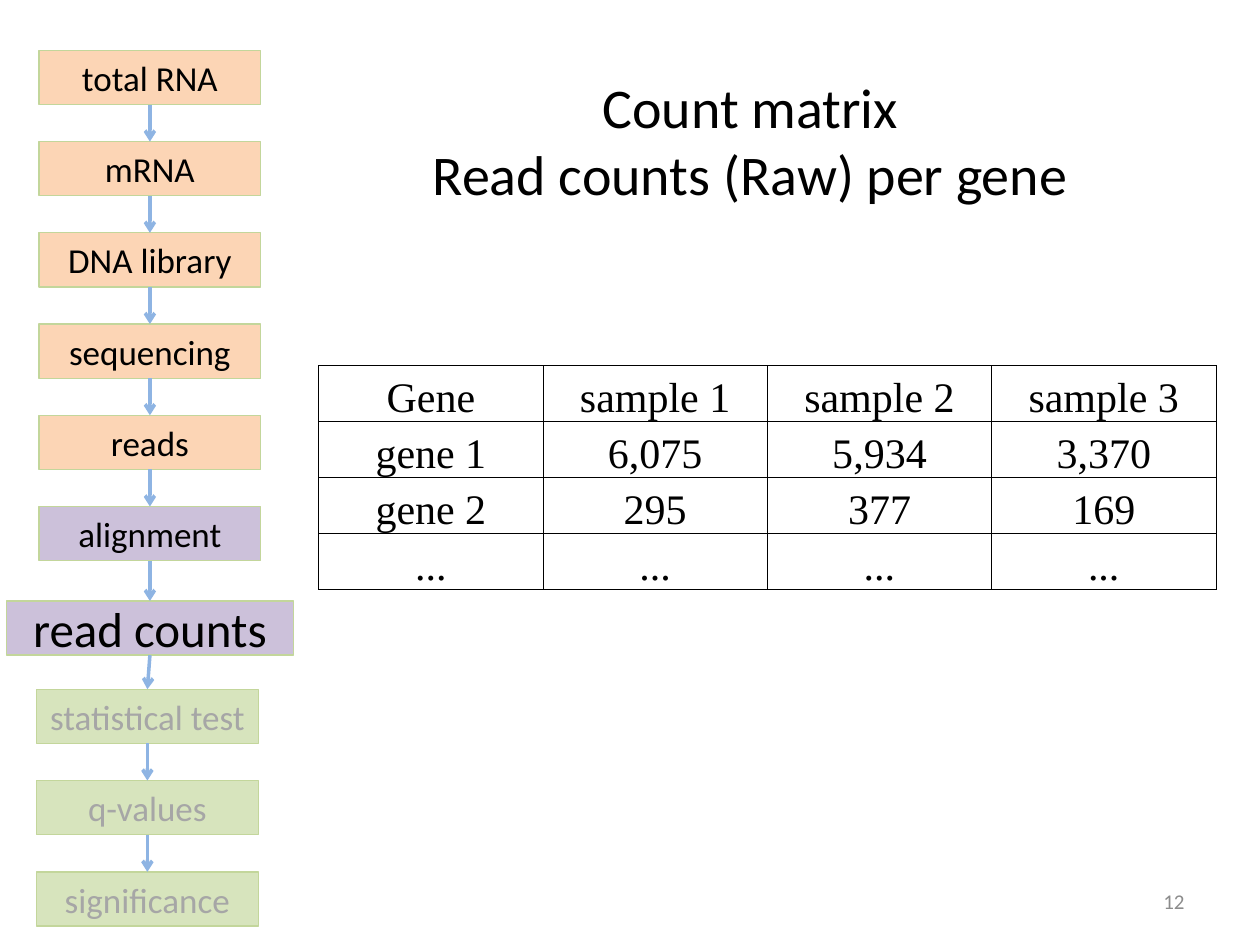
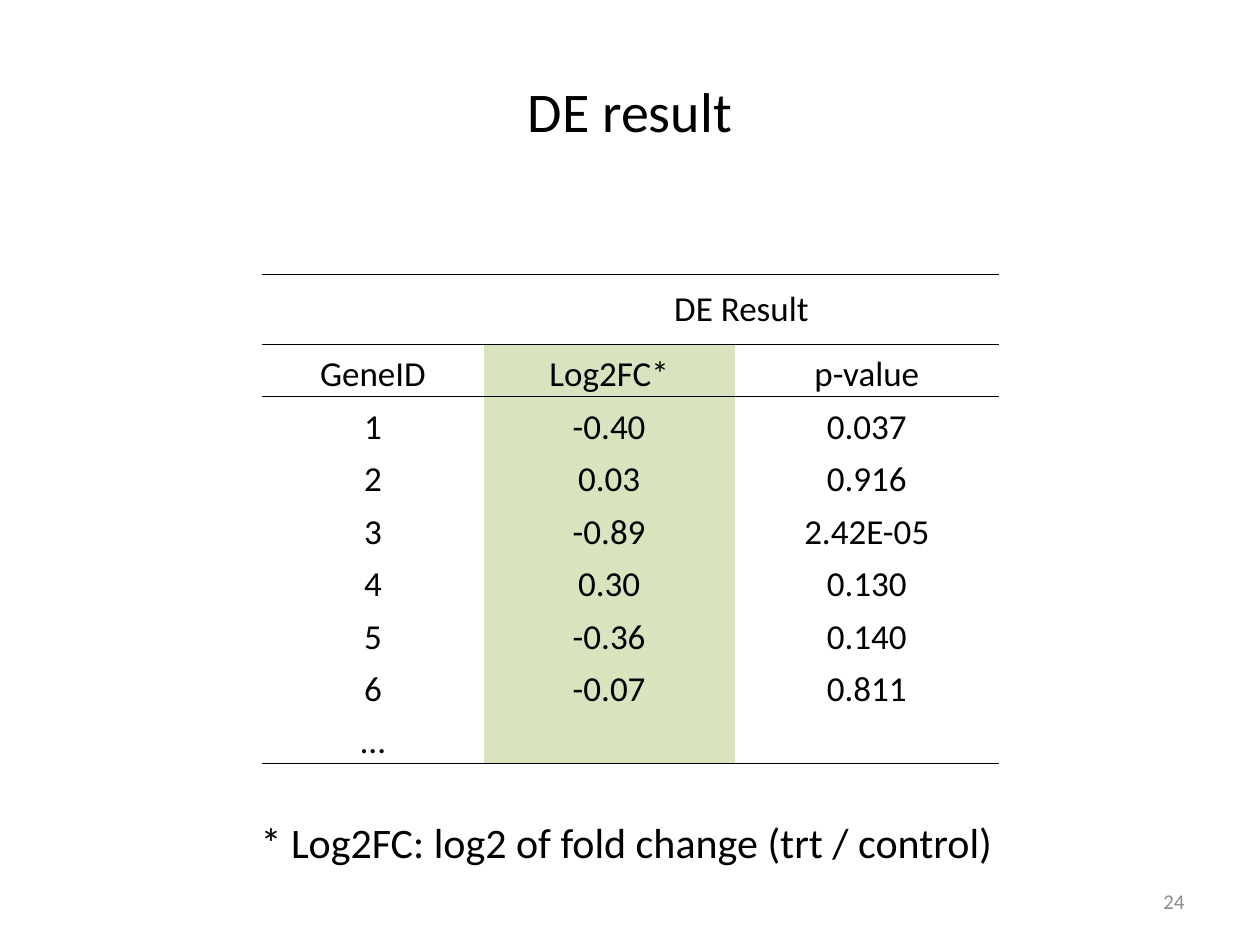
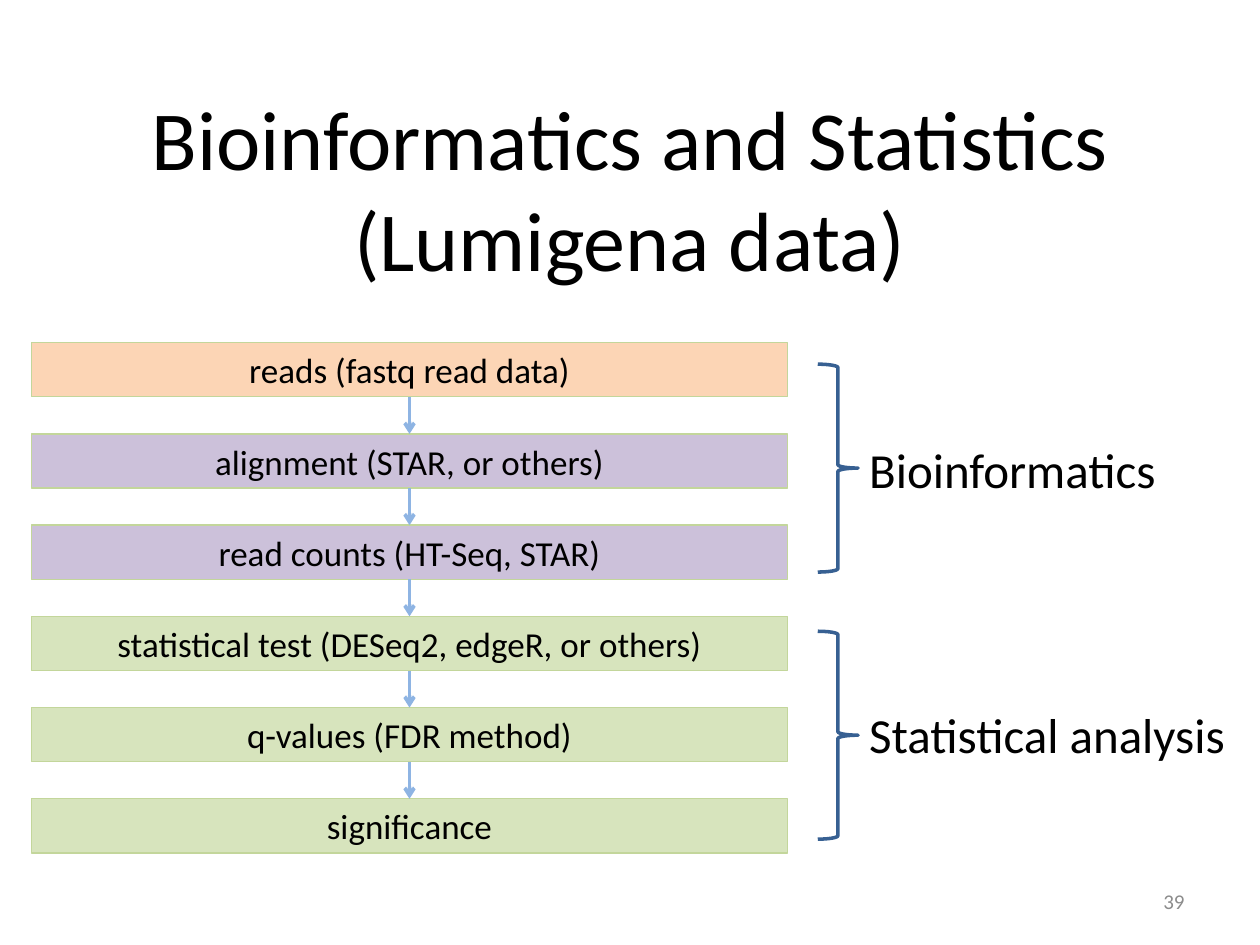
from lxml import etree
from pptx import Presentation
from pptx.dml.color import RGBColor
from pptx.enum.shapes import MSO_CONNECTOR, MSO_SHAPE
from pptx.enum.text import MSO_ANCHOR, MSO_AUTO_SIZE, PP_ALIGN
from pptx.oxml.ns import qn
from pptx.util import Inches, Pt

# Shared look
BLACK = RGBColor(0x00, 0x00, 0x00)
FADED = RGBColor(0xA6, 0xA6, 0xA6)
NUMBER_GREY = RGBColor(0x8C, 0x8C, 0x8C)
PEACH = RGBColor(0xFC, 0xD5, 0xB5)
LILAC = RGBColor(0xCC, 0xC1, 0xDA)
GREEN = RGBColor(0xD7, 0xE4, 0xBD)
BOX_EDGE = RGBColor(0xC3, 0xD6, 0x9B)
ARROW_BLUE = RGBColor(0x8E, 0xB4, 0xE3)
BRACE_BLUE = RGBColor(0x37, 0x60, 0x92)
SANS, SERIF = "Calibri", "Times New Roman"
STEP_HEIGHT = 0.43
NO_TABLE_STYLE = "{2D5ABB26-0587-4C30-8999-92F81FD0307C}"

# Content: a flow is a list of groups; each group spaces its steps evenly
# from the top of its first box to the top of its last one.
PIPELINE = [
    dict(left=0.31, width=1.76, first=0.4, last=4.02, size=20, ink=BLACK, steps=[
        ("total RNA", PEACH), ("mRNA", PEACH), ("DNA library", PEACH),
        ("sequencing", PEACH), ("reads", PEACH), ("alignment", LILAC)]),
    dict(left=0.05, width=2.28, first=4.77, last=4.77, size=28, ink=BLACK, steps=[
        ("read counts", LILAC)]),
    dict(left=0.29, width=1.76, first=5.47, last=6.92, size=20, ink=FADED, steps=[
        ("statistical test", GREEN), ("q-values", GREEN), ("significance", GREEN)]),
]
TOOLS = [
    dict(left=0.25, width=6, first=2.72, last=6.34, size=20, ink=BLACK, steps=[
        ("reads (fastq read data)", PEACH),
        ("alignment (STAR, or others)", LILAC),
        ("read counts (HT-Seq, STAR)", LILAC),
        ("statistical test (DESeq2, edgeR, or others)", GREEN),
        ("q-values (FDR method)", GREEN),
        ("significance", GREEN)]),
]
# Phase label, brace top, label top, label width
PHASES = [("Bioinformatics", 2.89, 3.44, 2.51),
          ("Statistical analysis", 5.01, 5.54, 3.07)]

# Left edge and rows of each half of the count matrix
COUNT_HALVES = [
    (2.53, [("Gene", "sample 1"), ("gene 1", "6,075"), ("gene 2", "295"), ("...", "...")]),
    (6.09, [("sample 2", "sample 3"), ("5,934", "3,370"), ("377", "169"), ("...", "...")]),
]
DE_ROWS = [
    ("", "DE Result", ""),
    ("GeneID", "Log2FC*", "p-value"),
    ("1", "-0.40", "0.037"),
    ("2", "0.03", "0.916"),
    ("3", "-0.89", "2.42E-05"),
    ("4", "0.30", "0.130"),
    ("5", "-0.36", "0.140"),
    ("6", "-0.07", "0.811"),
    ("…", "", ""),
]


def write(frame, words, size, ink=BLACK, font=SANS, align=PP_ALIGN.CENTER):
    paragraph = frame.paragraphs[0]
    paragraph.text = words
    paragraph.alignment = align
    for run in paragraph.runs:
        run.font.size = Pt(size)
        run.font.name = font
        run.font.color.rgb = ink


def add_words(slide, box, words, size, wrap=True, anchor=MSO_ANCHOR.MIDDLE, **style):
    frame = slide.shapes.add_textbox(*map(Inches, box)).text_frame
    frame.word_wrap = wrap
    frame.vertical_anchor = anchor
    if not wrap:
        frame.auto_size = MSO_AUTO_SIZE.SHAPE_TO_FIT_TEXT
    write(frame, words, size, **style)


def add_label(slide, box, words, size):
    add_words(slide, box, words, size, wrap=False, anchor=MSO_ANCHOR.TOP,
              align=PP_ALIGN.LEFT)


def new_slide(deck, number, title, title_box, title_size=32):
    slide = deck.slides.add_slide(deck.slide_layouts[6])
    add_words(slide, title_box, title, title_size)
    add_words(slide, (7.17, 6.95, 2.33, 0.4), number, 12, ink=NUMBER_GREY,
              align=PP_ALIGN.RIGHT)
    return slide


# Flow charts
def add_step(slide, left, top, width, label, fill, size, ink):
    step = slide.shapes.add_shape(
        MSO_SHAPE.RECTANGLE, *map(Inches, (left, top, width, STEP_HEIGHT)))
    step.shadow.inherit = False
    step.fill.solid()
    step.fill.fore_color.rgb = fill
    step.line.color.rgb = BOX_EDGE
    step.line.width = Pt(0.75)
    frame = step.text_frame
    frame.margin_left = frame.margin_right = frame.margin_top = frame.margin_bottom = 0
    frame.vertical_anchor = MSO_ANCHOR.MIDDLE
    write(frame, label, size, ink)
    return step


def add_arrow(slide, upper, lower):
    arrow = slide.shapes.add_connector(MSO_CONNECTOR.STRAIGHT, 0, 0, 0, 0)
    arrow.begin_connect(upper, 2)
    arrow.end_connect(lower, 0)
    arrow.line.color.rgb = ARROW_BLUE
    arrow.line.width = Pt(2)
    etree.SubElement(arrow.line._get_or_add_ln(), qn("a:tailEnd"), type="arrow")
    etree.SubElement(arrow._element.spPr, qn("a:effectLst"))


def add_flow(slide, groups):
    boxes = []
    for group in groups:
        steps = group["steps"]
        pitch = (group["last"] - group["first"]) / max(len(steps) - 1, 1)
        for i, (label, fill) in enumerate(steps):
            boxes.append(add_step(slide, group["left"], group["first"] + i * pitch,
                                  group["width"], label, fill, group["size"], group["ink"]))
    for upper, lower in zip(boxes, boxes[1:]):
        add_arrow(slide, upper, lower)


# Tables
def set_borders(cell, sides):
    """Rule the named sides (out of L, R, T, B) and clear the others."""
    properties = cell._tc.get_or_add_tcPr()
    for i, side in enumerate("LRTB"):
        line = etree.Element(qn("a:ln" + side), w=str(Pt(0.5)))
        properties.insert(i, line)
        if side in sides:
            ink = etree.SubElement(line, qn("a:solidFill"))
            etree.SubElement(ink, qn("a:srgbClr"), val=str(BLACK))
        else:
            etree.SubElement(line, qn("a:noFill"))


def add_grid(slide, left, top, widths, heights, rows, size, font,
             ruled_edges, side_rules="", shaded_column=None):
    """ruled_edges numbers the horizontal rules, 0 being the table's top."""
    table = slide.shapes.add_table(
        len(rows), len(widths),
        *map(Inches, (left, top, sum(widths), sum(heights)))).table
    table.first_row = table.horz_banding = False
    table._tbl.tblPr.find(qn("a:tableStyleId")).text = NO_TABLE_STYLE
    for column, width in zip(table.columns, widths):
        column.width = Inches(width)
    for r, (row, height) in enumerate(zip(rows, heights)):
        table.rows[r].height = Inches(height)
        sides = (side_rules + ("T" if r in ruled_edges else "")
                 + ("B" if r + 1 in ruled_edges else ""))
        for c, words in enumerate(row):
            cell = table.cell(r, c)
            cell.margin_left = cell.margin_right = cell.margin_top = Inches(0.01)
            cell.margin_bottom = 0
            cell.vertical_anchor = MSO_ANCHOR.BOTTOM
            if c == shaded_column and r > 0:
                cell.fill.solid()
                cell.fill.fore_color.rgb = GREEN
            else:
                cell.fill.background()
            set_borders(cell, sides)
            if words:
                write(cell.text_frame, words, size, font=font)
    return table


def count_matrix_slide(deck):
    slide = new_slide(deck, "12", "Count matrix\nRead counts (Raw) per gene",
                      (2.71, 0.48, 6.49, 1.25))
    for left, rows in COUNT_HALVES:
        add_grid(slide, left, 2.9, [1.78] * 2, [1.78 / 4] * 4, rows, 24, SERIF,
                 ruled_edges=range(5), side_rules="LR")
    add_flow(slide, PIPELINE)


def de_result_slide(deck):
    slide = new_slide(deck, "24", "DE result", (0.5, 0.46, 9, 0.82))
    results = add_grid(slide, 2.08, 2.18, [1.76, 1.99, 2.1], [0.55] + [3.33 / 8] * 8,
                       DE_ROWS, 20, SANS, ruled_edges=(0, 1, 2, 9), shaded_column=1)
    heading = results.cell(0, 1)
    heading.merge(results.cell(0, 2))
    heading.vertical_anchor = MSO_ANCHOR.MIDDLE
    add_label(slide, (1.97, 6.43, 6.09, 0.5),
              "* Log2FC: log2 of fold change (trt / control)", 24)


def tools_slide(deck):
    slide = new_slide(deck, "39", "Bioinformatics and Statistics (Lumigena data)",
                      (0.5, 0.61, 9, 1.76), title_size=48)
    add_flow(slide, TOOLS)
    for phase, brace_top, label_top, label_width in PHASES:
        brace = slide.shapes.add_shape(
            MSO_SHAPE.RIGHT_BRACE, *map(Inches, (6.49, brace_top, 0.32, 1.65)))
        brace.shadow.inherit = False
        brace.fill.background()
        brace.line.color.rgb = BRACE_BLUE
        brace.line.width = Pt(2)
        add_label(slide, (6.8, label_top, label_width, 0.57), phase, 28)


def main():
    deck = Presentation()
    deck.slide_width, deck.slide_height = Inches(10), Inches(7.5)
    count_matrix_slide(deck)
    de_result_slide(deck)
    tools_slide(deck)
    deck.save("out.pptx")


if __name__ == "__main__":
    main()
